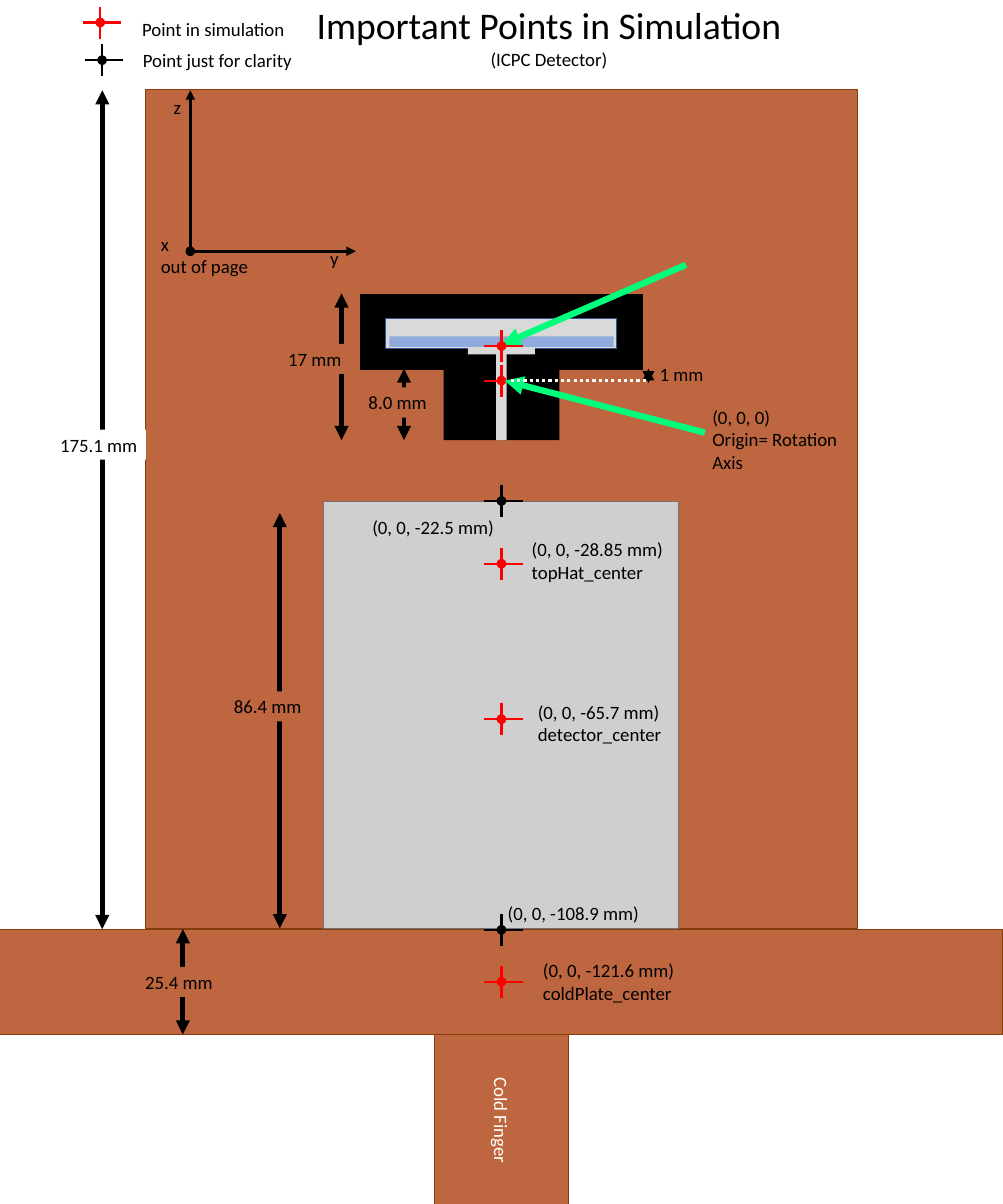
import lxml.etree
import pptx
import pptx.dml.color
import pptx.enum.dml
import pptx.enum.shapes
import pptx.enum.text
import pptx.oxml.ns
import pptx.util

RGB = pptx.dml.color.RGBColor
BLACK = RGB(0x00, 0x00, 0x00)
WHITE = RGB(0xFF, 0xFF, 0xFF)
RED = RGB(0xFF, 0x00, 0x00)
GREEN = RGB(0x00, 0xFF, 0x7A)
COPPER = RGB(0xBD, 0x66, 0x40)
BROWN = RGB(0x84, 0x3C, 0x0B)
SILVER = RGB(0xD0, 0xCE, 0xCE)
GREY = RGB(0x76, 0x71, 0x71)
PALE = RGB(0xD9, 0xD9, 0xD9)
BLUE = RGB(0x8F, 0xAA, 0xDC)
NAVY = RGB(0x32, 0x54, 0x91)

# Square grid: 100 columns by 120 rows, with the detector axis at column 50
WIDE = pptx.util.Inches(13.33)
HIGH = pptx.util.Inches(16)
CELL = WIDE / 100
AXIS = 50
ROW = 3  # height of one line of text

KIND = pptx.enum.shapes.MSO_SHAPE
ALIGN = pptx.enum.text.PP_ALIGN


def grid(*cells):
    return [round(cell * CELL) for cell in cells]


def write(frame, text, size=18, color=BLACK, align=None, more=False):
    para = frame.add_paragraph() if more else frame.paragraphs[0]
    para.text = text
    para.alignment = align
    for run in para.runs:
        run.font.name = "Calibri"
        run.font.size = pptx.util.Pt(size)
        run.font.color.rgb = color


def shape(parent, kind, box, fill, edge=None, weight=1):
    item = parent.add_shape(kind, *grid(*box))
    item.shadow.inherit = False
    item.fill.solid()
    item.fill.fore_color.rgb = fill
    if edge is None:
        item.line.fill.background()
    else:
        item.line.color.rgb = edge
        item.line.width = pptx.util.Pt(weight)
    return item


def block(parent, top, wide, high, fill, edge=None):
    box = (AXIS - wide / 2, top, wide, high)
    return shape(parent, KIND.RECTANGLE, box, fill, edge)


def dot(parent, x, y, color):
    size = 0.75
    box = (x - size / 2, y - size / 2, size, size)
    shape(parent, KIND.OVAL, box, color, color, 2)


def line(parent, start, end, color=BLACK, weight=3, heads=(), dash=None):
    item = parent.add_connector(
        pptx.enum.shapes.MSO_CONNECTOR.STRAIGHT, *grid(*start, *end))
    item.line.color.rgb = color
    item.line.width = pptx.util.Pt(weight)
    if dash is not None:
        item.line.dash_style = dash
    name = pptx.oxml.ns.qn
    props = item.element.spPr
    for head in heads:
        lxml.etree.SubElement(
            props.find(name("a:ln")), name("a:" + head), type="triangle")
    lxml.etree.SubElement(props, name("a:effectLst"))


def mark(shapes, y, color, x=AXIS):
    group = shapes.add_group_shape().shapes
    dot(group, x, y, color)
    line(group, (x, y - 1.6), (x, y + 1.62), color, 2)
    line(group, (x - 1.72, y), (x + 2.1, y), color, 2)


def label(shapes, x, y, wide, text, high=ROW, fill=None, wrap=False):
    item = shapes.add_textbox(*grid(x, y, wide, high))
    if fill is not None:
        item.fill.solid()
        item.fill.fore_color.rgb = fill
    frame = item.text_frame
    frame.word_wrap = wrap
    frame.auto_size = pptx.enum.text.MSO_AUTO_SIZE.SHAPE_TO_FIT_TEXT
    write(frame, text)
    return frame


def span(shapes, x, top, foot, weight=4.5):
    line(shapes, (x, top), (x, foot), BLACK, weight, ("headEnd", "tailEnd"))


def main():
    deck = pptx.Presentation()
    deck.slide_width, deck.slide_height = WIDE, HIGH
    shapes = deck.slides.add_slide(deck.slide_layouts[6]).shapes

    # Cold finger, turned on its side
    finger = shape(shapes, KIND.RECTANGLE, (41.4, 105, 17.2, 13.35),
                   COPPER, BROWN)
    finger.rotation = 90
    finger.text_frame.vertical_anchor = pptx.enum.text.MSO_ANCHOR.MIDDLE
    write(finger.text_frame, "Cold Finger", color=WHITE, align=ALIGN.CENTER)

    # Housing, detector and cold plate
    block(shapes, 8.93, 70.95, 83.62, COPPER, BROWN)
    block(shapes, 50.03, 35.4, 42.53, SILVER, GREY)
    block(shapes, 92.63, 100, 10.5, COPPER, BROWN)

    # Source holder
    holder = shapes.add_group_shape().shapes
    block(holder, 29.33, 28.05, 7.5, BLACK, BLACK)
    block(holder, 36.38, 11.55, 7.5, BLACK)
    block(holder, 31.73, 23.03, 3, PALE, NAVY)
    block(holder, 34.65, 6.68, 0.68, PALE)
    block(holder, 35.03, 1.05, 8.85, PALE)
    block(holder, 33.53, 22.35, 1.05, BLUE)

    # Points on the axis and their pointers
    line(shapes, (68.4, 26.4), (50.03, 34.35), GREEN, 6, ["tailEnd"])
    for y in (34.5, 37.95, 56.2, 71.7, 97.88):
        mark(shapes, y, RED)
    for y in (49.95, 92.7):
        mark(shapes, y, BLACK)
    line(shapes, (70.28, 43.13), (50.33, 37.95), GREEN, 6, ["tailEnd"])

    # Dimensions: line column, top, foot; tag left, top, width
    for x, top, foot, left, row, wide, text, fill in (
        (10.2, 9, 92.63, 5.25, 42.83, 9.3, "175.1 mm", WHITE),
        (27.9, 51.15, 92.55, 22.58, 68.93, 8.33, "86.4 mm", COPPER),
        (18.23, 92.63, 103.13, 13.73, 96.38, 8.33, "25.4 mm", COPPER),
        (34.05, 29.25, 43.88, 27.98, 34.28, 7.35, "17 mm", COPPER),
        (40.28, 36.75, 43.88, 36, 38.63, 7.35, "8.0 mm", COPPER),
    ):
        span(shapes, x, top, foot)
        label(shapes, left, row, wide, text, fill=fill)
    span(shapes, 64.65, 36.75, 38.18, 3.75)
    line(shapes, (50.93, 37.95), (64.65, 37.95), WHITE, 3,
         dash=pptx.enum.dml.MSO_LINE.ROUND_DOT)

    # Axes
    line(shapes, (18.98, 25.05), (18.98, 9), heads=["tailEnd"])
    line(shapes, (18.75, 25.05), (35.48, 25.05), heads=["tailEnd"])
    dot(shapes, 18.98, 25.05, BLACK)

    # Legend marks
    mark(shapes, 2.25, RED, 10)
    mark(shapes, 6, BLACK, 10.18)

    # Labels
    for x, y, wide, text in (
        (13.43, 1.35, 15.9, "Point in simulation"),
        (13.5, 4.5, 16.5, "Point just for clarity"),
        (32.18, 24.23, 2.4, "y"),
        (16.58, 9.15, 2.25, "z"),
        (65.03, 35.78, 5.93, "1 mm"),
        (36.38, 51.08, 13.8, "(0, 0, -22.5 mm)"),
        (49.88, 89.48, 14.78, "(0, 0, -108.9 mm)"),
    ):
        label(shapes, x, y, wide, text)
    for x, y, wide, text in (
        (15.3, 22.8, 10.35, "x\nout of page"),
        (52.28, 53.25, 14.78, "(0, 0, -28.85 mm)\ntopHat_center"),
        (52.88, 69.45, 13.95, "(0, 0, -65.7 mm)\ndetector_center"),
        (53.4, 95.25, 14.78, "(0, 0, -121.6 mm)\ncoldPlate_center"),
    ):
        label(shapes, x, y, wide, text, 5.3)
    label(shapes, 70.28, 40.05, 14.33, "(0, 0, 0)\nOrigin= Rotation Axis",
          7.58, wrap=True)

    # Title
    title = label(shapes, 30.83, -0.15, 48.3, "", 7.58)
    write(title, "Important Points in Simulation", size=36)
    write(title, "(ICPC Detector)", align=ALIGN.CENTER, more=True)

    deck.save("out.pptx")


if __name__ == "__main__":
    main()
